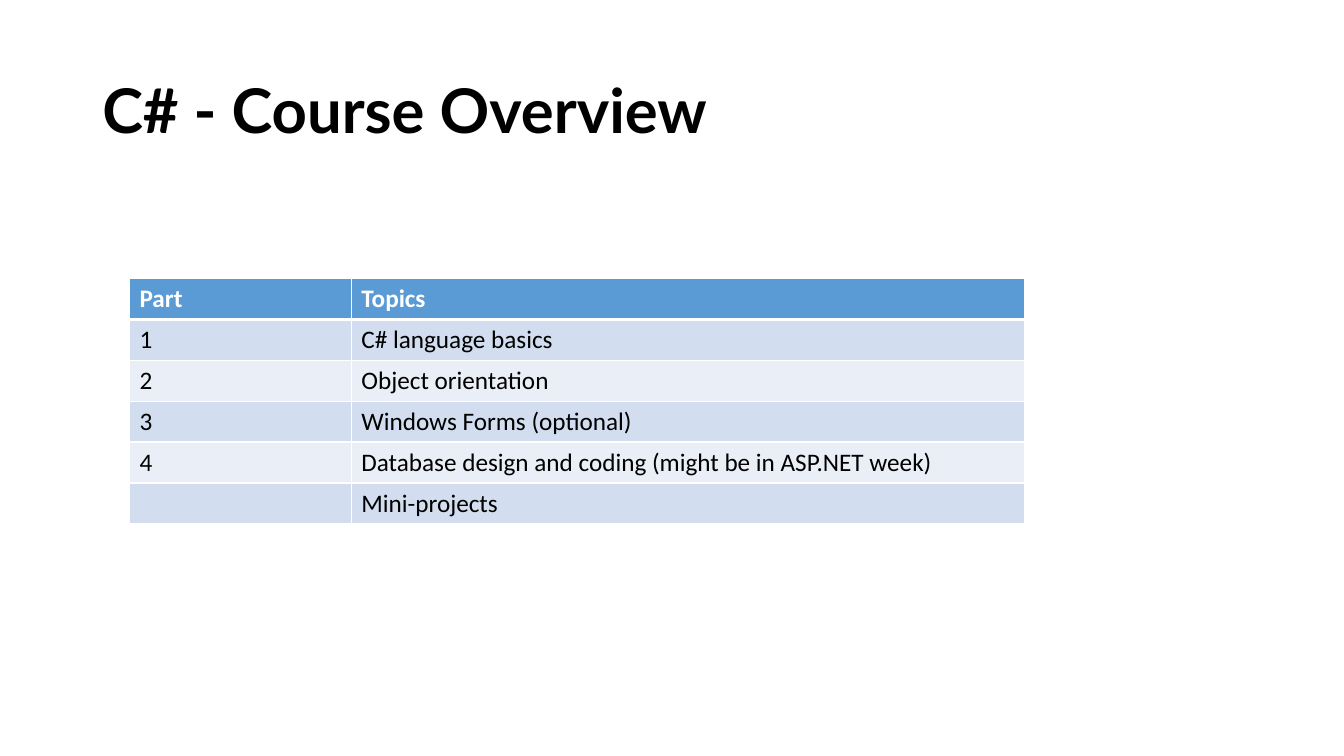
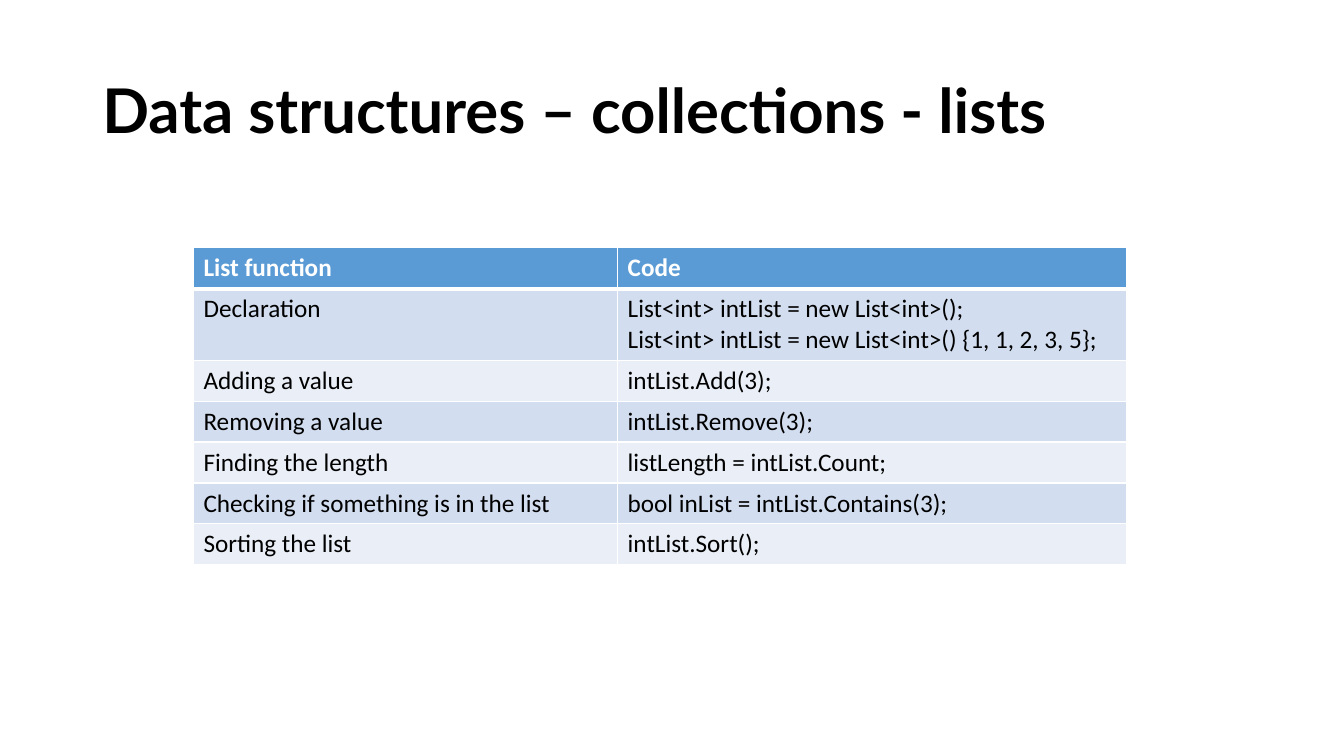
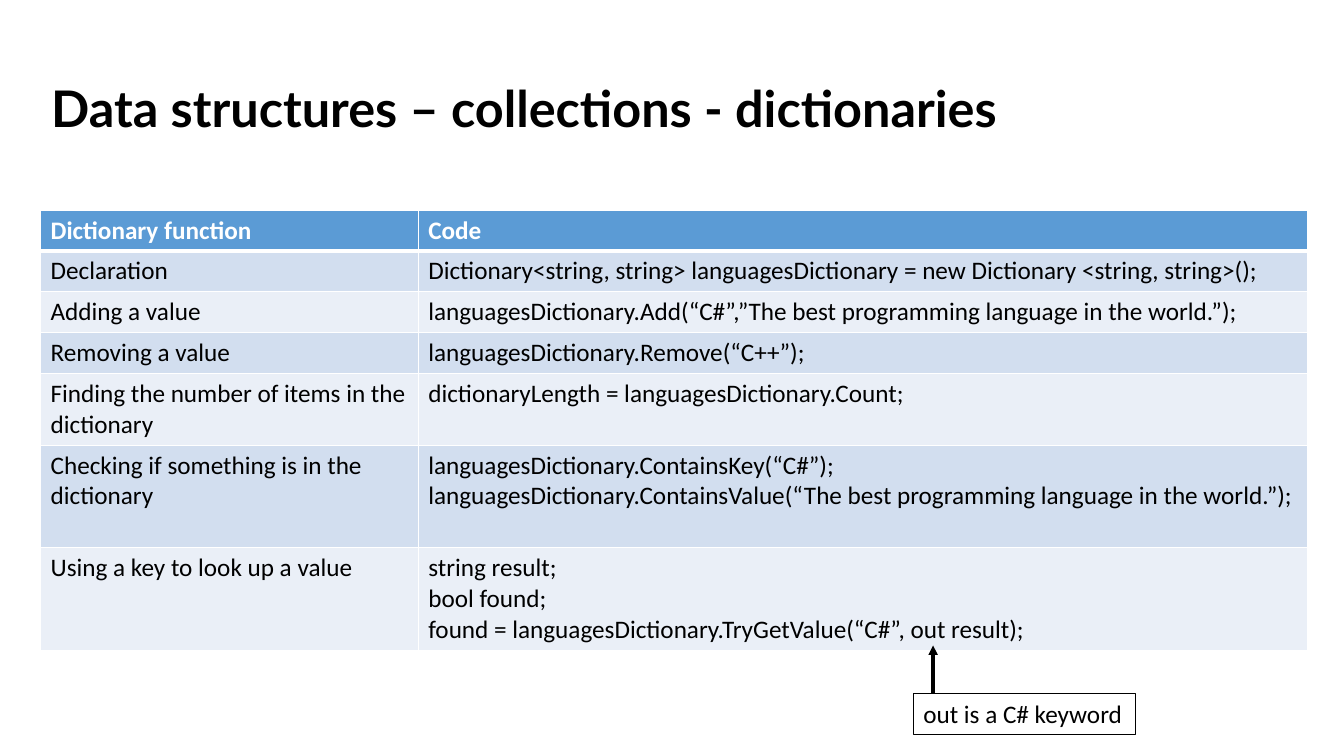
from lxml.etree import SubElement
from pptx import Presentation
from pptx.dml.color import RGBColor
from pptx.enum.shapes import MSO_CONNECTOR, MSO_SHAPE
from pptx.enum.text import MSO_ANCHOR, PP_ALIGN
from pptx.oxml.ns import qn
from pptx.util import Pt

COLOURS = {
    "text": "000000",
    "white": "FFFFFF",
    "header": "5B9BD5",
    "odd_row": "D2DEEF",
    "even_row": "EAEFF7",
}
TITLE_FONT = "Lato"
BODY_FONT = "Calibri"
BODY_SIZE = 18
LINE_HEIGHT = 22
CELL_PADDING = 7.2
THIN_BORDER = 1
HEADER_BORDER = 3

COURSE_ROWS = [
    ("Part", "Topics"),
    ("1", "C# language basics"),
    ("2", "Object orientation"),
    ("3", "Windows Forms (optional)"),
    ("4", "Database design and coding (might be in ASP.NET week)"),
    ("", "Mini-projects"),
]
LIST_ROWS = [
    ("List function", "Code"),
    ("Declaration", "List<int> intList = new List<int>();\n"
                    "List<int> intList = new List<int>() {1, 1, 2, 3, 5};"),
    ("Adding a value", "intList.Add(3);"),
    ("Removing a value", "intList.Remove(3);"),
    ("Finding the length", "listLength = intList.Count;"),
    ("Checking if something is in the list", "bool inList = intList.Contains(3);"),
    ("Sorting the list", "intList.Sort();"),
]
DICTIONARY_ROWS = [
    ("Dictionary function", "Code"),
    ("Declaration",
     "Dictionary<string, string> languagesDictionary = new Dictionary <string, string>();"),
    ("Adding a value",
     "languagesDictionary.Add(“C#”,”The best programming language in the world.”);"),
    ("Removing a value", "languagesDictionary.Remove(“C++”);"),
    ("Finding the number of items in the dictionary",
     "dictionaryLength = languagesDictionary.Count;"),
    ("Checking if something is in the dictionary",
     "languagesDictionary.ContainsKey(“C#”);\n"
     "languagesDictionary.ContainsValue(“The best programming language in the world.”);"),
    ("Using a key to look up a value",
     "string result;\nbool found;\n"
     "found = languagesDictionary.TryGetValue(“C#”, out result);"),
]


def colour(name):
    return RGBColor.from_string(COLOURS[name])


def format_text(text_frame, font_name, size, colour_name, bold=False):
    for paragraph in text_frame.paragraphs:
        for run in paragraph.runs:
            run.font.name = font_name
            run.font.size = Pt(size)
            run.font.bold = bold
            run.font.color.rgb = colour(colour_name)


def add_titled_slide(presentation, title, left=66, top=28.8, width=828, size=44):
    slide = presentation.slides.add_slide(presentation.slide_layouts[6])
    shape = slide.shapes.add_textbox(Pt(left), Pt(top), Pt(width), Pt(104.4))
    text_frame = shape.text_frame
    text_frame.word_wrap = True
    text_frame.vertical_anchor = MSO_ANCHOR.MIDDLE
    text_frame.text = title
    text_frame.paragraphs[0].line_spacing = 0.9
    format_text(text_frame, TITLE_FONT, size, "text", bold=True)
    return slide


def set_cell_borders(cell, top, bottom):
    properties = cell._tc.get_or_add_tcPr()
    widths = {"a:lnL": THIN_BORDER, "a:lnR": THIN_BORDER, "a:lnT": top, "a:lnB": bottom}
    for tag, width in widths.items():
        line = SubElement(properties, qn(tag), w=str(Pt(width)))
        fill = SubElement(line, qn("a:solidFill"))
        SubElement(fill, qn("a:srgbClr"), val=COLOURS["white"])


def fill_cell(cell, text, row_index):
    is_header = row_index == 0
    set_cell_borders(
        cell,
        top=HEADER_BORDER if row_index == 1 else THIN_BORDER,
        bottom=HEADER_BORDER if is_header else THIN_BORDER,
    )
    band = "odd_row" if row_index % 2 else "even_row"
    cell.fill.solid()
    cell.fill.fore_color.rgb = colour("header" if is_header else band)
    cell.text_frame.text = text
    format_text(cell.text_frame, BODY_FONT, BODY_SIZE,
                "white" if is_header else "text", bold=is_header)


def add_banded_table(slide, left, top, column_widths, rows, line_counts):
    heights = [CELL_PADDING + LINE_HEIGHT * count for count in line_counts]
    frame = slide.shapes.add_table(
        len(rows), len(column_widths),
        Pt(left), Pt(top), Pt(sum(column_widths)), Pt(sum(heights)))
    table = frame.table
    table.horz_banding = False
    for column, width in zip(table.columns, column_widths):
        column.width = Pt(width)
    for row_index, (row, height, texts) in enumerate(zip(table.rows, heights, rows)):
        row.height = Pt(height)
        for cell, text in zip(row.cells, texts):
            fill_cell(cell, text, row_index)


def add_callout(slide, text, left, top, width, height):
    shape = slide.shapes.add_shape(
        MSO_SHAPE.RECTANGLE, Pt(left), Pt(top), Pt(width), Pt(height))
    shape.shadow.inherit = False
    shape.fill.background()
    shape.line.color.rgb = colour("text")
    shape.line.width = Pt(0.75)
    text_frame = shape.text_frame
    text_frame.word_wrap = False
    text_frame.vertical_anchor = MSO_ANCHOR.TOP
    text_frame.text = text
    text_frame.paragraphs[0].alignment = PP_ALIGN.LEFT
    format_text(text_frame, BODY_FONT, BODY_SIZE, "text")


def add_arrow(slide, start_x, start_y, end_x, end_y):
    connector = slide.shapes.add_connector(
        MSO_CONNECTOR.STRAIGHT, Pt(start_x), Pt(start_y), Pt(end_x), Pt(end_y))
    connector.line.color.rgb = colour("text")
    connector.line.width = Pt(2.25)
    SubElement(connector.line._get_or_add_ln(), qn("a:tailEnd"), type="triangle")
    SubElement(connector._element.spPr, qn("a:effectLst"))


def main():
    presentation = Presentation()
    presentation.slide_width = Pt(960)
    presentation.slide_height = Pt(540)

    slide = add_titled_slide(presentation, "C# - Course Overview")
    add_banded_table(slide, 92.5, 199, (158.5, 481), COURSE_ROWS, [1] * 6)

    slide = add_titled_slide(presentation, "Data structures – collections - lists")
    add_banded_table(slide, 138.2, 177, (303, 363.5), LIST_ROWS, (1, 2, 1, 1, 1, 1, 1))

    slide = add_titled_slide(presentation, "Data structures – collections - dictionaries",
                             left=29.5, top=27.5, width=863, size=36)
    add_banded_table(slide, 29, 150, (269.8, 635.5), DICTIONARY_ROWS, (1, 1, 1, 1, 2, 3, 3))
    callout_top = 495.5
    add_callout(slide, "out is a C# keyword", 652.5, callout_top, 158.5, 29)
    add_arrow(slide, 666.5, callout_top, 666.5, 461)

    presentation.save("out.pptx")


if __name__ == "__main__":
    main()
